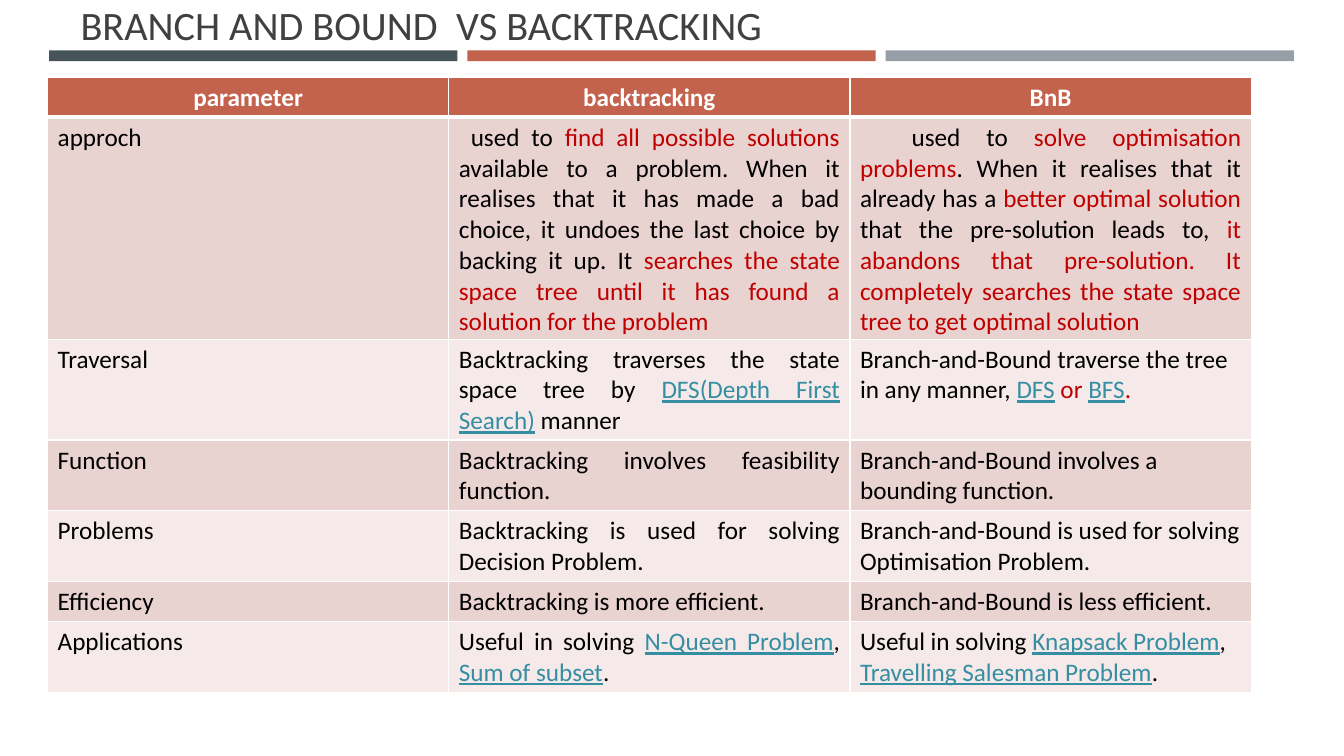
from lxml.etree import SubElement
from pptx import Presentation
from pptx.dml.color import RGBColor
from pptx.enum.shapes import MSO_SHAPE
from pptx.enum.text import MSO_ANCHOR, PP_ALIGN
from pptx.oxml.ns import qn
from pptx.util import Cm, Pt

COLORS = {
    "slate": "465359", "brick": "C3624D", "gray": "969FA7",
    "title": "404040", "white": "FFFFFF", "text": "000000",
    "red": "C00000", "link": "358EA1",
    "band_dark": "E9D3D0", "band_light": "F5EAE9",
}
HEADINGS = ["parameter", "backtracking", "BnB"]
ROW_HEIGHTS = [0.99, 5.44, 2.46, 1.73, 1.73, 0.99, 0.99]
APPROACH_INDENTS = [0, 0.3, 1.3]

# Each cell is a list of spans: plain text, or text with its colour name
ROWS = [
    [["approch"],
     ["used to ", ("find all possible solutions ", "red"),
      "available to a problem. When it realises that it has made a bad choice, "
      "it undoes the last choice by backing it up. It ",
      ("searches the state space tree until it has found a solution for the problem", "red")],
     ["used to ", ("solve optimisation problems", "red"),
      ". When it realises that it already has a ", ("better optimal solution ", "red"),
      "that the pre-solution leads to, ",
      ("it abandons that pre-solution. It completely searches the state space tree "
       "to get optimal solution", "red")]],
    [["Traversal"],
     ["Backtracking traverses the state space tree by ",
      ("DFS(Depth First Search)", "link"), (" ", "red"), "manner"],
     ["Branch-and-Bound traverse the tree in any manner, ",
      ("DFS", "link"), (" or ", "red"), ("BFS", "link"), (".", "red")]],
    [["Function"],
     ["Backtracking involves feasibility function."],
     ["Branch-and-Bound involves a bounding function."]],
    [["Problems"],
     ["Backtracking is used for solving Decision Problem."],
     ["Branch-and-Bound is used for solving Optimisation Problem."]],
    [["Efficiency"],
     ["Backtracking is more efficient."],
     ["Branch-and-Bound is less efficient."]],
    [["Applications"],
     ["Useful in solving ", ("N-Queen Problem", "link"), ", ",
      ("Sum of subset", "link"), "."],
     ["Useful in solving ", ("Knapsack Problem", "link"), ", ",
      ("Travelling Salesman Problem", "link"), "."]],
]


def rgb(name):
    return RGBColor.from_string(COLORS[name])


def add_span(para, text, *, size=18, color="text", bold=False, spacing=0):
    span = para.add_run()
    span.text = text
    font = span.font
    font.name, font.size, font.bold = "Calibri", Pt(size), bold
    font.color.rgb = rgb(color)
    font.underline = color == "link"
    if spacing:
        font._element.set("spc", str(round(spacing * 100)))


class SlideBuilder:
    def __init__(self, page):
        self.page = page

    def bar(self, left, top, width, height, color):
        box = self.page.shapes.add_shape(
            MSO_SHAPE.RECTANGLE, Cm(left), Cm(top), Cm(width), Cm(height))
        box.shadow.inherit = False
        box.fill.solid()
        box.fill.fore_color.rgb = rgb(color)
        box.line.fill.background()

    def title(self, left, top, width, height, first, second):
        box = self.page.shapes.add_textbox(Cm(left), Cm(top), Cm(width), Cm(height))
        frame = box.text_frame
        frame.word_wrap = True
        frame.vertical_anchor = MSO_ANCHOR.BOTTOM
        para = frame.paragraphs[0]
        # A widened space separates the two halves
        for text, spacing in ((first, 0), (" ", 6.5), (second, 0)):
            add_span(para, text, size=28.8, color="title", spacing=spacing)

    def table(self, left, top, column_width, row_heights, column_count):
        frame = self.page.shapes.add_table(
            len(row_heights), column_count, Cm(left), Cm(top),
            Cm(column_width * column_count), Cm(sum(row_heights)))
        table = frame.table
        table.first_row = table.horz_banding = False
        for column in table.columns:
            column.width = Cm(column_width)
        for row, height in zip(table.rows, row_heights):
            row.height = Cm(height)
        return table

    def cell(self, cell, spans, fill, *, align=PP_ALIGN.LEFT, color="text",
             bold=False, indent=0, top_line=1, bottom_line=1):
        properties = cell._tc.get_or_add_tcPr()
        for side, width in zip("LRTB", (1, 1, top_line, bottom_line)):
            line = SubElement(properties, qn(f"a:ln{side}"), w=str(Pt(width)))
            SubElement(SubElement(line, qn("a:solidFill")), qn("a:srgbClr"),
                       val=COLORS["white"])
        cell.fill.solid()
        cell.fill.fore_color.rgb = rgb(fill)
        para = cell.text_frame.paragraphs[0]
        para.alignment = align
        if indent:
            para._p.get_or_add_pPr().set("indent", str(Cm(indent)))
        for span in spans:
            text, span_color = (span, color) if isinstance(span, str) else span
            add_span(para, text, color=span_color, bold=bold)


def main():
    deck = Presentation()
    deck.slide_width, deck.slide_height = Cm(33.87), Cm(19.05)
    builder = SlideBuilder(deck.slides.add_slide(deck.slide_layouts[6]))

    # Bars and title
    for index, color in enumerate(("slate", "brick", "gray")):
        builder.bar(1.24 + index * 10.54, 1.27, 10.29, 0.27, color)
    builder.title(1.78, 0.33, 30.33, 1.02, "BRANCH AND BOUND", "VS BACKTRACKING")

    # Comparison table
    table = builder.table(1.2, 1.94, 10.11, ROW_HEIGHTS, len(HEADINGS))
    for column, heading in enumerate(HEADINGS):
        builder.cell(table.cell(0, column), [heading], "brick",
                     align=PP_ALIGN.CENTER, color="white", bold=True, bottom_line=3)
    for row, contents in enumerate(ROWS, start=1):
        for column, spans in enumerate(contents):
            justified = column == 1 or (row, column) == (1, 2)
            builder.cell(table.cell(row, column), spans,
                         "band_dark" if row % 2 else "band_light",
                         align=PP_ALIGN.JUSTIFY if justified else PP_ALIGN.LEFT,
                         indent=APPROACH_INDENTS[column] if row == 1 else 0,
                         top_line=3 if row == 1 else 1)

    deck.save("out.pptx")


if __name__ == "__main__":
    main()
